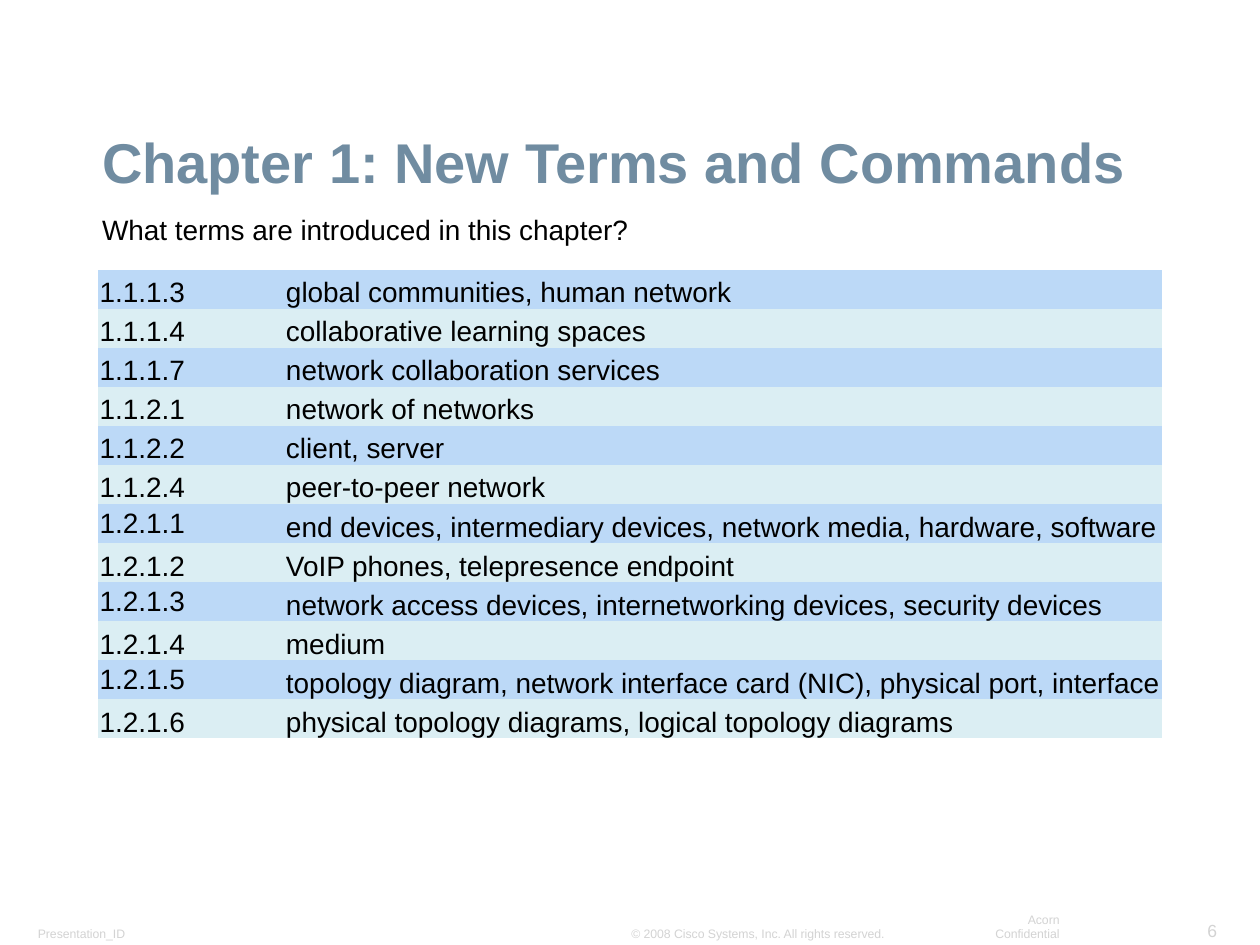
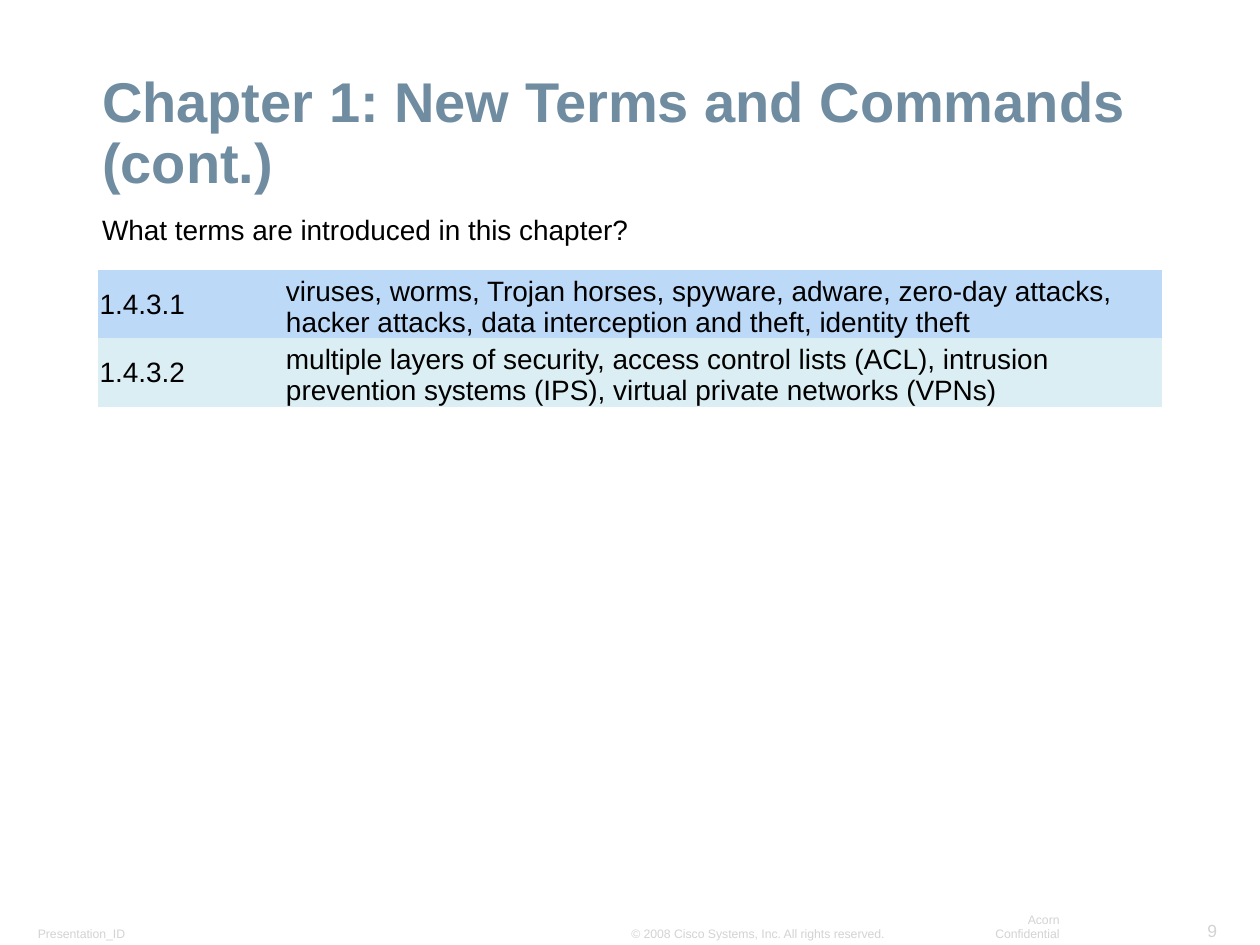
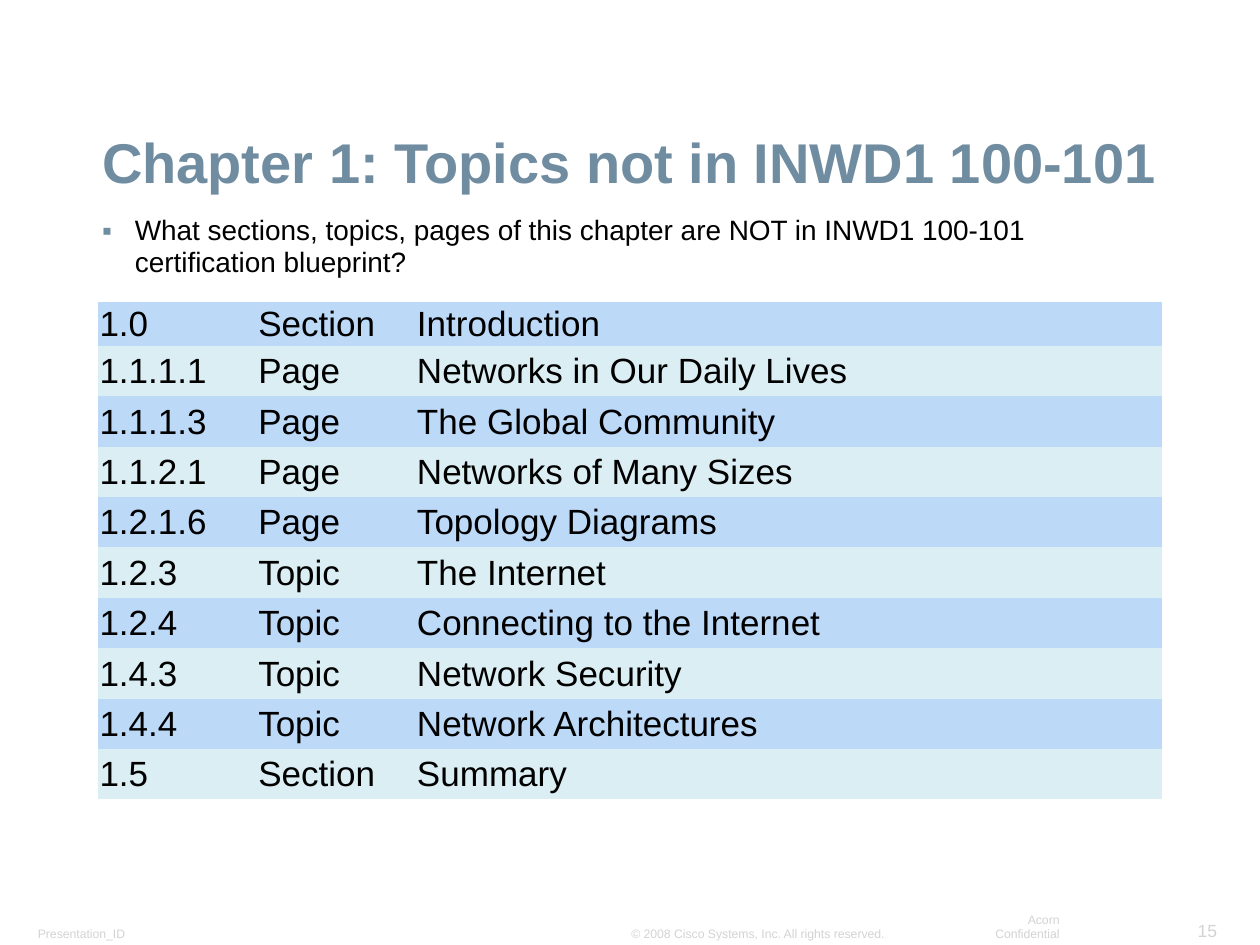
from dataclasses import dataclass

from lxml.etree import SubElement
from pptx import Presentation
from pptx.dml.color import RGBColor
from pptx.enum.text import MSO_ANCHOR, MSO_AUTO_SIZE, PP_ALIGN
from pptx.oxml.ns import qn
from pptx.slide import Slide
from pptx.util import Inches, Pt

FONT = "Arial"
SLATE, BLACK, FOOTER_GREY = "708CA1", "000000", "D3D3D3"
BANDS = ("BCD9F7", "DBEEF3")
PLAIN_TABLE_STYLE = "{2D5ABB26-0587-4C30-8999-92F81FD0307C}"
BOTTOM, MIDDLE = MSO_ANCHOR.BOTTOM, MSO_ANCHOR.MIDDLE


@dataclass(frozen=True)
class TextStyle:
    size: float
    color: str
    bold: bool = False
    align: PP_ALIGN = PP_ALIGN.LEFT
    line_spacing: float = 1.0
    anchor: MSO_ANCHOR = MSO_ANCHOR.TOP


@dataclass(frozen=True)
class Box:
    left: float
    top: float
    width: float
    height: float


@dataclass(frozen=True)
class Footer:
    text: str
    box: Box
    style: TextStyle
    wrap: bool = False


@dataclass(frozen=True)
class Grid:
    top: float
    columns: tuple[float, ...]
    row_heights: list[float]
    size: float
    rows: list[tuple[str, ...]]
    anchor: MSO_ANCHOR = MIDDLE
    middle_codes: tuple[str, ...] = ()


@dataclass(frozen=True)
class Page:
    number: int
    title: str
    question: str
    grid: Grid
    bulleted: bool = False


TITLE_BOX = Box(0.72, 0.67, 8.91, 0.92)
QUESTION_BOX = Box(0.72, 1.67, 8.68, 0.54)
NUMBER_BOX = Box(9.4, 7.25, 0.35, 0.26)
TABLE_LEFT = 0.78

TITLE = TextStyle(32, SLATE, bold=True, line_spacing=0.9, anchor=BOTTOM)
QUESTION = TextStyle(16, BLACK, line_spacing=0.95)
SMALL = TextStyle(7, FOOTER_GREY, anchor=BOTTOM)
SMALL_RIGHT = TextStyle(7, FOOTER_GREY, align=PP_ALIGN.RIGHT, anchor=BOTTOM)
NUMBER = TextStyle(10, FOOTER_GREY, align=PP_ALIGN.RIGHT, anchor=BOTTOM)

FOOTERS = [
    Footer("Presentation_ID", Box(0.21, 7.3, 1.05, 0.21), SMALL, wrap=True),
    Footer("© 2008 Cisco Systems, Inc. All rights reserved.",
           Box(4.92, 7.3, 2.21, 0.21), SMALL),
    Footer("Acorn Confidential", Box(7.54, 7.3, 0.96, 0.21), SMALL_RIGHT),
]

TERM_COLUMNS = (1.48, 6.96)
TERMS_QUESTION = "What terms are introduced in this chapter?"

TERMS = [
    ("1.1.1.3", "global communities, human network"),
    ("1.1.1.4", "collaborative learning spaces"),
    ("1.1.1.7", "network collaboration services"),
    ("1.1.2.1", "network of networks"),
    ("1.1.2.2", "client, server"),
    ("1.1.2.4", "peer-to-peer network"),
    ("1.2.1.1", "end devices, intermediary devices, network media, hardware, software"),
    ("1.2.1.2", "VoIP phones, telepresence endpoint"),
    ("1.2.1.3", "network access devices, internetworking devices, security devices"),
    ("1.2.1.4", "medium"),
    ("1.2.1.5", "topology diagram, network interface card (NIC), physical port, interface"),
    ("1.2.1.6", "physical topology diagrams, logical topology diagrams"),
]

SECURITY_TERMS = [
    ("1.4.3.1", "viruses, worms, Trojan horses, spyware, adware, zero-day attacks, "
                "hacker attacks, data interception and theft, identity theft"),
    ("1.4.3.2", "multiple layers of security, access control lists (ACL), intrusion "
                "prevention systems (IPS), virtual private networks (VPNs)"),
]

EXCLUDED_TOPICS = [
    ("1.0", "Section", "Introduction"),
    ("1.1.1.1", "Page", "Networks in Our Daily Lives"),
    ("1.1.1.3", "Page", "The Global Community"),
    ("1.1.2.1", "Page", "Networks of Many Sizes"),
    ("1.2.1.6", "Page", "Topology Diagrams"),
    ("1.2.3", "Topic", "The Internet"),
    ("1.2.4", "Topic", "Connecting to the Internet"),
    ("1.4.3", "Topic", "Network Security"),
    ("1.4.4", "Topic", "Network Architectures"),
    ("1.5", "Section", "Summary"),
]

PAGES = [
    Page(6, "Chapter 1: New Terms and Commands", TERMS_QUESTION,
         Grid(2.14, TERM_COLUMNS, [0.31] * len(TERMS), 16, TERMS, BOTTOM,
              middle_codes=("1.2.1.1", "1.2.1.3", "1.2.1.5"))),
    Page(9, "Chapter 1: New Terms and Commands (cont.)", TERMS_QUESTION,
         Grid(2.14, TERM_COLUMNS, [0.5] * len(SECURITY_TERMS), 16, SECURITY_TERMS, BOTTOM,
              middle_codes=("1.4.3.1", "1.4.3.2"))),
    Page(15, "Chapter 1: Topics not in INWD1 100-101",
         "What sections, topics, pages of this chapter are NOT in INWD1 100-101 "
         "certification blueprint?",
         Grid(2.4, (1.26, 1.26, 5.92), [0.33] + [0.4] * (len(EXCLUDED_TOPICS) - 1),
              20, EXCLUDED_TOPICS),
         bulleted=True),
]


def rgb(color: str) -> RGBColor:
    return RGBColor.from_string(color)


def style_paragraph(paragraph, style: TextStyle) -> None:
    paragraph.alignment = style.align
    paragraph.line_spacing = style.line_spacing
    font = paragraph.font
    font.name, font.size, font.bold = FONT, Pt(style.size), style.bold
    font.color.rgb = rgb(style.color)


def add_bullet(paragraph) -> None:
    """Give the paragraph a slate square with a hanging indent."""
    properties = paragraph._p.get_or_add_pPr()
    properties.set("marL", str(Inches(0.26)))
    properties.set("indent", str(Inches(-0.26)))
    color = SubElement(properties, qn("a:buClr"))
    SubElement(color, qn("a:srgbClr"), val=SLATE)
    SubElement(properties, qn("a:buFont"), typeface=FONT)
    SubElement(properties, qn("a:buChar"), char="▪")


def add_text(slide: Slide, text: str, box: Box, style: TextStyle,
             wrap: bool = True, grow: bool = False, bulleted: bool = False) -> None:
    frame = slide.shapes.add_textbox(Inches(box.left), Inches(box.top),
                                     Inches(box.width), Inches(box.height)).text_frame
    frame.margin_left = frame.margin_right = Inches(0.09)
    frame.margin_top = frame.margin_bottom = Inches(0.04)
    frame.word_wrap = wrap
    frame.auto_size = MSO_AUTO_SIZE.SHAPE_TO_FIT_TEXT if grow else MSO_AUTO_SIZE.NONE
    frame.vertical_anchor = style.anchor
    paragraph = frame.paragraphs[0]
    paragraph.text = text
    if bulleted:
        add_bullet(paragraph)
    style_paragraph(paragraph, style)


def add_footers(slide: Slide, number: int) -> None:
    for footer in [*FOOTERS, Footer(str(number), NUMBER_BOX, NUMBER)]:
        add_text(slide, footer.text, footer.box, footer.style, footer.wrap, grow=True)


def add_grid(slide: Slide, grid: Grid) -> None:
    """Draw a borderless table whose rows alternate between the two band colours."""
    table = slide.shapes.add_table(
        len(grid.rows), len(grid.columns), Inches(TABLE_LEFT), Inches(grid.top),
        Inches(sum(grid.columns)), Inches(sum(grid.row_heights))).table
    table.first_row = table.horz_banding = False
    table._tbl.tblPr.find(qn("a:tableStyleId")).text = PLAIN_TABLE_STYLE
    for column, width in zip(table.columns, grid.columns):
        column.width = Inches(width)
    for row, height in zip(table.rows, grid.row_heights):
        row.height = Inches(height)

    style = TextStyle(grid.size, BLACK)
    for row_index, entries in enumerate(grid.rows):
        for column_index, entry in enumerate(entries):
            cell = table.cell(row_index, column_index)
            cell.fill.solid()
            cell.fill.fore_color.rgb = rgb(BANDS[row_index % 2])
            cell.margin_left = cell.margin_right = cell.margin_top = Inches(0.01)
            cell.margin_bottom = 0
            cell.vertical_anchor = MIDDLE if entry in grid.middle_codes else grid.anchor
            cell.text = entry
            style_paragraph(cell.text_frame.paragraphs[0], style)


def main() -> None:
    presentation = Presentation()
    presentation.slide_width, presentation.slide_height = Inches(10), Inches(7.5)
    blank = presentation.slide_layouts[6]
    for page in PAGES:
        slide = presentation.slides.add_slide(blank)
        add_footers(slide, page.number)
        add_text(slide, page.title, TITLE_BOX, TITLE)
        add_text(slide, page.question, QUESTION_BOX, QUESTION, bulleted=page.bulleted)
        add_grid(slide, page.grid)
    presentation.save("out.pptx")


if __name__ == "__main__":
    main()
